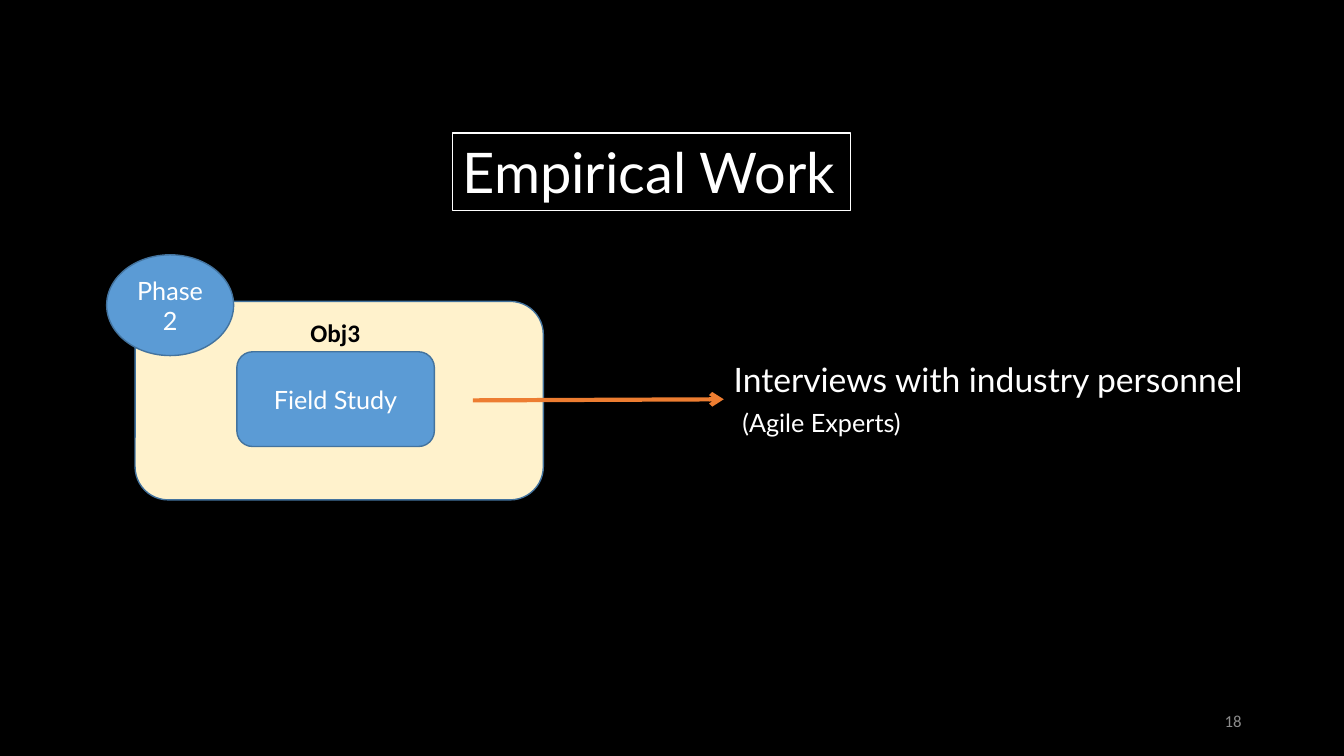
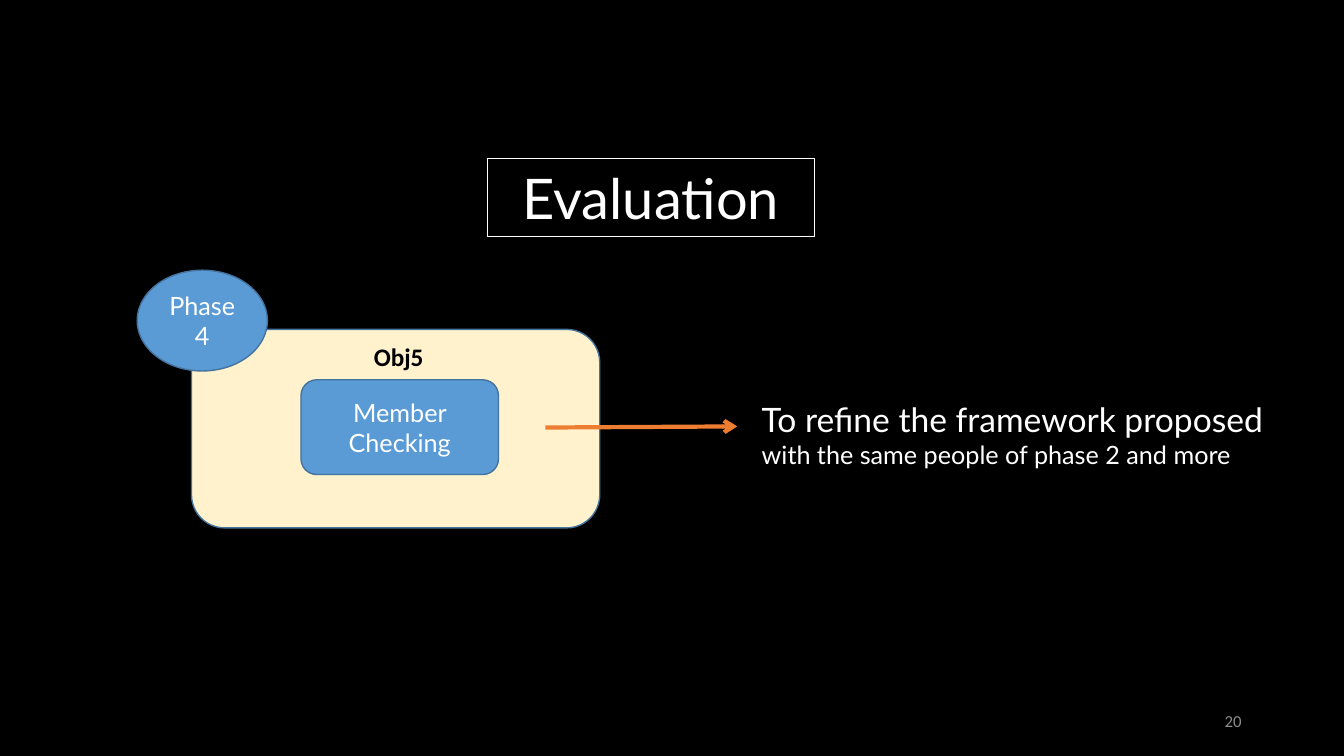
from pptx import Presentation
from pptx.dml.color import RGBColor
from pptx.enum.shapes import MSO_CONNECTOR, MSO_SHAPE
from pptx.enum.text import MSO_ANCHOR, PP_ALIGN
from pptx.oxml.ns import qn
from pptx.util import Pt
from lxml.etree import SubElement

BLACK, WHITE, GREY = "000000", "FFFFFF", "8C8C8C"
CREAM, BLUE, EDGE, ORANGE = "FFF2CC", "5B9BD5", "43739E", "ED7D31"
CARD_SIZE = (291.6, 141.8)
STEP_SIZE = (141.1, 67.7)
STEP_DROP = 36

SLIDES = [
    {
        "title": ("Empirical Work", (323.3, 95, 284.4, 55.7), PP_ALIGN.LEFT),
        "card": (96.5, 215.3),
        "step": ("Field Study", 72.7),
        "phase": ("Phase 2", (76.2, 182, 90.7, 72)),
        "objective": ("Obj3", (214.6, 222.8)),
        "arrow": (337.7, 286, 517, 285.2),
        "result": ([[("Interviews with industry personnel", 24)],
                    [(" ", 24), ("(Agile Experts)", 18)]],
                   (517, 252.7, 440, 65.5)),
        "number": "18",
    },
    {
        "title": ("Evaluation", (348.3, 113.5, 233.3, 55.7), PP_ALIGN.CENTER),
        "card": (136.8, 235.3),
        "step": ("Member Checking", 78.2),
        "phase": ("Phase 4", (98, 193, 93, 72)),
        "objective": ("Obj5", (259.9, 240.5)),
        "arrow": (389.5, 305.4, 526.6, 304.6),
        "result": ([[("To refine the framework proposed", 24)],
                    [("with the same people of phase 2 and more", 18)]],
                   (537, 281.5, 400, 58.3)),
        "number": "20",
    },
]


def rgb(color):
    return RGBColor.from_string(color)


def write(shape, lines, color=WHITE, font="Lato", align=PP_ALIGN.LEFT,
          anchor=MSO_ANCHOR.TOP, bold=False, wrap=True):
    tf = shape.text_frame
    tf.word_wrap = wrap
    tf.vertical_anchor = anchor
    for i, runs in enumerate(lines):
        p = tf.add_paragraph() if i else tf.paragraphs[0]
        p.alignment = align
        p.font.name = font
        p.font.bold = bold
        p.font.color.rgb = rgb(color)
        for text, size in runs:
            r = p.add_run()
            r.text = text
            r.font.size = Pt(size)


def add_box(s, kind, box, fill=None, edge=EDGE, weight=1):
    sp = s.shapes.add_shape(kind, *map(Pt, box))
    sp.shadow.inherit = False
    if fill:
        sp.fill.solid()
        sp.fill.fore_color.rgb = rgb(fill)
    else:
        sp.fill.background()
    sp.line.color.rgb = rgb(edge)
    sp.line.width = Pt(weight)
    return sp


def add_label(s, kind, box, text):
    sp = add_box(s, kind, box, BLUE)
    write(sp, [[(text, 18)]], align=PP_ALIGN.CENTER, anchor=MSO_ANCHOR.MIDDLE)


def add_text(s, box, lines, **style):
    write(s.shapes.add_textbox(*map(Pt, box)), lines, **style)


def add_arrow(s, ends):
    cn = s.shapes.add_connector(MSO_CONNECTOR.STRAIGHT, *map(Pt, ends))
    cn.line.color.rgb = rgb(ORANGE)
    cn.line.width = Pt(3)
    SubElement(cn.line._get_or_add_ln(), qn("a:tailEnd"), type="arrow")
    SubElement(cn._element.spPr, qn("a:effectLst"))


def build_slide(prs, data):
    s = prs.slides.add_slide(prs.slide_layouts[6])
    s.background.fill.solid()
    s.background.fill.fore_color.rgb = rgb(BLACK)

    x, y = data["card"]
    add_box(s, MSO_SHAPE.ROUNDED_RECTANGLE, (x, y, *CARD_SIZE), CREAM)
    step, indent = data["step"]
    add_label(s, MSO_SHAPE.ROUNDED_RECTANGLE,
              (x + indent, y + STEP_DROP, *STEP_SIZE), step)
    phase, box = data["phase"]
    add_label(s, MSO_SHAPE.OVAL, box, phase)

    title, box, align = data["title"]
    write(add_box(s, MSO_SHAPE.RECTANGLE, box, edge=WHITE, weight=0.75),
          [[(title, 40)]], align=align)

    add_arrow(s, data["arrow"])
    lines, box = data["result"]
    add_text(s, box, lines)
    objective, corner = data["objective"]
    add_text(s, (*corner, 50.4, 29), [[(objective, 18)]], color=BLACK,
             font="Calibri", bold=True, wrap=False)
    add_text(s, (678, 500.5, 216, 28.8), [[(data["number"], 12)]], color=GREY,
             font="Calibri", align=PP_ALIGN.RIGHT, anchor=MSO_ANCHOR.MIDDLE)


def main():
    prs = Presentation()
    prs.slide_width, prs.slide_height = Pt(960), Pt(540)
    for data in SLIDES:
        build_slide(prs, data)
    prs.save("out.pptx")


if __name__ == "__main__":
    main()
